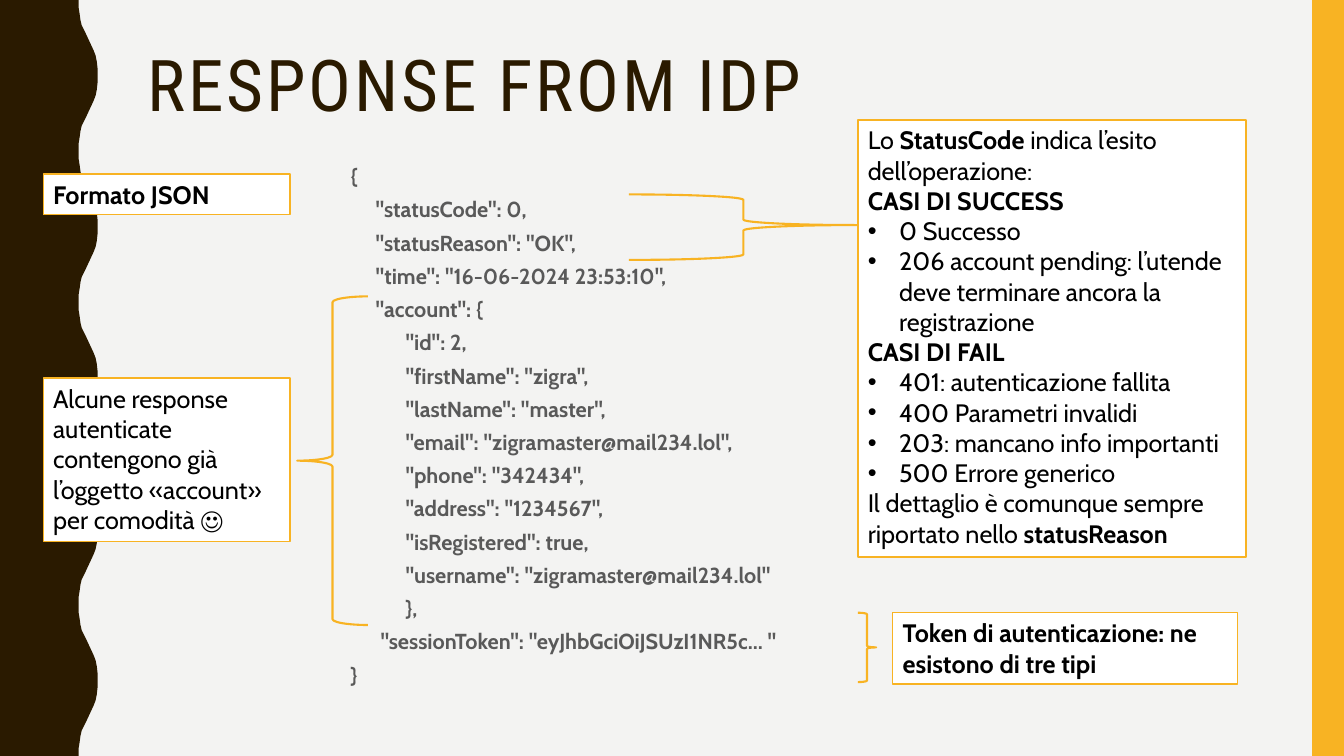
from dataclasses import dataclass
from typing import Any

from lxml import etree
from pptx import Presentation
from pptx import util as u
from pptx.dml.color import RGBColor
from pptx.enum import shapes, text
from pptx.oxml import ns

PAPER = RGBColor(0xF3, 0xF3, 0xF2)
BROWN = RGBColor(0x2A, 0x1A, 0x00)
GOLD = RGBColor(0xF8, 0xB3, 0x23)
GREY = RGBColor(0x59, 0x59, 0x59)
WHITE = RGBColor(0xFF, 0xFF, 0xFF)
BLACK = RGBColor(0x00, 0x00, 0x00)

KIND = shapes.MSO_SHAPE
WIDTH, HEIGHT = 33.87, 19.05

# Half of one wave, as (down, across) in cm; the other half mirrors it.
CURVE = [(0, 1.98), (0.18, 1.98), (0.36, 2.01), (0.51, 2.03), (0.64, 2.06),
         (0.84, 2.16), (1.27, 2.36), (1.4, 2.41), (1.55, 2.44), (1.73, 2.46),
         (1.9, 2.46)]
WAVES = 5
PERIOD = HEIGHT / WAVES

TITLE = {"name": "Roboto Condensed", "size": u.Pt(51)}
CODE = {"name": "Cabin", "size": u.Pt(15.5), "bold": True}
NOTE = {"name": "Cabin", "size": u.Pt(18)}


@dataclass
class Place:
    left: float
    top: float
    width: float
    height: float

    def cm(self) -> list[u.Cm]:
        return [u.Cm(v) for v in (self.left, self.top, self.width, self.height)]


@dataclass
class Box:
    """A note; ** switches bold and a leading • makes a bullet."""
    place: Place
    lines: list[str]


@dataclass
class Brace:
    place: Place
    kind: Any
    bends: tuple[float, float] = (0.083, 0.5)


@dataclass
class Line:
    words: str
    indent: float = 0


BOXES = [
    Box(Place(21.62, 3.02, 9.78, 11.02), [
        "Lo **StatusCode** indica l’esito dell’operazione:",
        "**CASI DI SUCCESS**",
        "•0 Successo",
        "•206 account pending: l’utende deve terminare ancora la registrazione",
        "**CASI DI FAIL**",
        "•401: autenticazione fallita",
        "•400 Parametri invalidi",
        "•203: mancano info importanti",
        "•500 Errore generico",
        "Il dettaglio è comunque sempre riportato nello **statusReason**",
    ]),
    Box(Place(1.09, 9.53, 6.22, 4.11), [
        "Alcune response autenticate contengono già l’oggetto «account» "
        "per comodità ☺",
    ]),
    Box(Place(22.5, 15.44, 8.69, 1.8),
        ["**Token di autenticazione: ne esistono di tre tipi**"]),
    Box(Place(1.09, 4.39, 6.22, 1.02), ["**Formato JSON**"]),
]

BRACES = [
    Brace(Place(15.85, 4.9, 5.77, 1.65), KIND.RIGHT_BRACE, (0.083, 0.468)),
    Brace(Place(7.49, 7.47, 1.78, 8.28), KIND.LEFT_BRACE),
    Brace(Place(21.62, 15.44, 0.46, 1.75), KIND.RIGHT_BRACE),
]

OUTER, INNER = 0.63, 1.38
JSON = [
    Line("{"),
    Line('"statusCode": 0,', OUTER),
    Line('"statusReason": "OK",', OUTER),
    Line('"time": "16-06-2024 23:53:10",', OUTER),
    Line('"account": {', OUTER),
    Line('"id": 2,', INNER),
    Line('"firstName": "zigra",', INNER),
    Line('"lastName": "master",', INNER),
    Line('"email": "zigramaster@mail234.lol",', INNER),
    Line('"phone": "342434",', INNER),
    Line('"address": "1234567",', INNER),
    Line('"isRegistered": true,', INNER),
    Line('"username": "zigramaster@mail234.lol"', INNER),
    Line("},", INNER),
    Line('"sessionToken": "eyJhbGciOiJSUzI1NR5c... "', 0.75),
    Line("}"),
]


def add_run(para: Any, words: str, style: dict[str, Any], ink: RGBColor) -> Any:
    run = para.add_run()
    run.text = words
    for key, value in style.items():
        setattr(run.font, key, value)
    run.font.color.rgb = ink
    return run


def paint(shape: Any, fill: RGBColor | None, edge: RGBColor | None = None,
          weight: float = 1) -> None:
    shape.shadow.inherit = False
    if fill is None:
        shape.fill.background()
    else:
        shape.fill.solid()
        shape.fill.fore_color.rgb = fill
    if edge is None:
        shape.line.fill.background()
    else:
        shape.line.color.rgb = edge
        shape.line.width = u.Pt(weight)


def indent(para: Any, left: float, hang: float = 0, mark: str = "") -> None:
    props = para._p.get_or_add_pPr()
    props.set("marL", str(u.Cm(left)))
    props.set("indent", str(u.Cm(-hang)))
    if mark:
        font = etree.SubElement(props, ns.qn("a:buFont"))
        font.set("typeface", "Arial")
        etree.SubElement(props, ns.qn("a:buChar")).set("char", mark)


def next_para(frame: Any, index: int) -> Any:
    return frame.add_paragraph() if index else frame.paragraphs[0]


def add_wave(slide: Any) -> None:
    half = CURVE + [(PERIOD - down, across) for down, across in CURVE[-2::-1]]
    edge = [(u.Cm(across), u.Cm(turn * PERIOD + down))
            for turn in range(WAVES) for down, across in half]
    form = slide.shapes.build_freeform(0, 0)
    form.add_line_segments(edge + [(0, u.Cm(HEIGHT))], close=True)
    paint(form.convert_to_shape(), BROWN)


def add_text(slide: Any, place: Place, anchor: Any) -> Any:
    frame = slide.shapes.add_textbox(*place.cm()).text_frame
    frame.word_wrap = True
    frame.vertical_anchor = anchor
    return frame


def add_title(slide: Any) -> None:
    frame = add_text(slide, Place(3.48, 0.98, 28.27, 2.49),
                     text.MSO_ANCHOR.MIDDLE)
    para = frame.paragraphs[0]
    para.line_spacing = 0.9
    run = add_run(para, "RESPONSE FROM IDP", TITLE, BROWN)
    run.font._element.set("spc", "200")


def add_code(slide: Any) -> None:
    frame = add_text(slide, Place(8.59, 4.06, 13.72, 13.94), text.MSO_ANCHOR.TOP)
    for index, line in enumerate(JSON):
        para = next_para(frame, index)
        para.line_spacing = 0.9
        para.space_before = u.Pt(7)
        indent(para, line.indent)
        add_run(para, line.words, CODE, GREY)


def add_box(slide: Any, box: Box) -> None:
    shape = slide.shapes.add_shape(KIND.RECTANGLE, *box.place.cm())
    paint(shape, WHITE, GOLD)
    frame = shape.text_frame
    frame.word_wrap = True
    frame.auto_size = text.MSO_AUTO_SIZE.SHAPE_TO_FIT_TEXT
    frame.vertical_anchor = text.MSO_ANCHOR.TOP
    for index, line in enumerate(box.lines):
        para = next_para(frame, index)
        para.alignment = text.PP_ALIGN.LEFT
        if line.startswith("•"):
            indent(para, 0.79, 0.79, "•")
        for part, words in enumerate(line.removeprefix("•").split("**")):
            if words:
                add_run(para, words, NOTE | {"bold": part % 2 == 1}, BLACK)


def add_brace(slide: Any, brace: Brace) -> None:
    shape = slide.shapes.add_shape(brace.kind, *brace.place.cm())
    paint(shape, None, GOLD, 1.5)
    for index, bend in enumerate(brace.bends):
        shape.adjustments[index] = bend


def main() -> None:
    deck = Presentation()
    deck.slide_width, deck.slide_height = u.Cm(WIDTH), u.Cm(HEIGHT)
    slide = deck.slides.add_slide(deck.slide_layouts[6])
    slide.background.fill.solid()
    slide.background.fill.fore_color.rgb = PAPER
    add_wave(slide)
    band = slide.shapes.add_shape(
        KIND.RECTANGLE, *Place(33.07, 0, 0.8, HEIGHT).cm())
    paint(band, GOLD)
    add_title(slide)
    add_code(slide)
    for box in BOXES:
        add_box(slide, box)
    for brace in BRACES:
        add_brace(slide, brace)
    deck.save("out.pptx")


if __name__ == "__main__":
    main()
